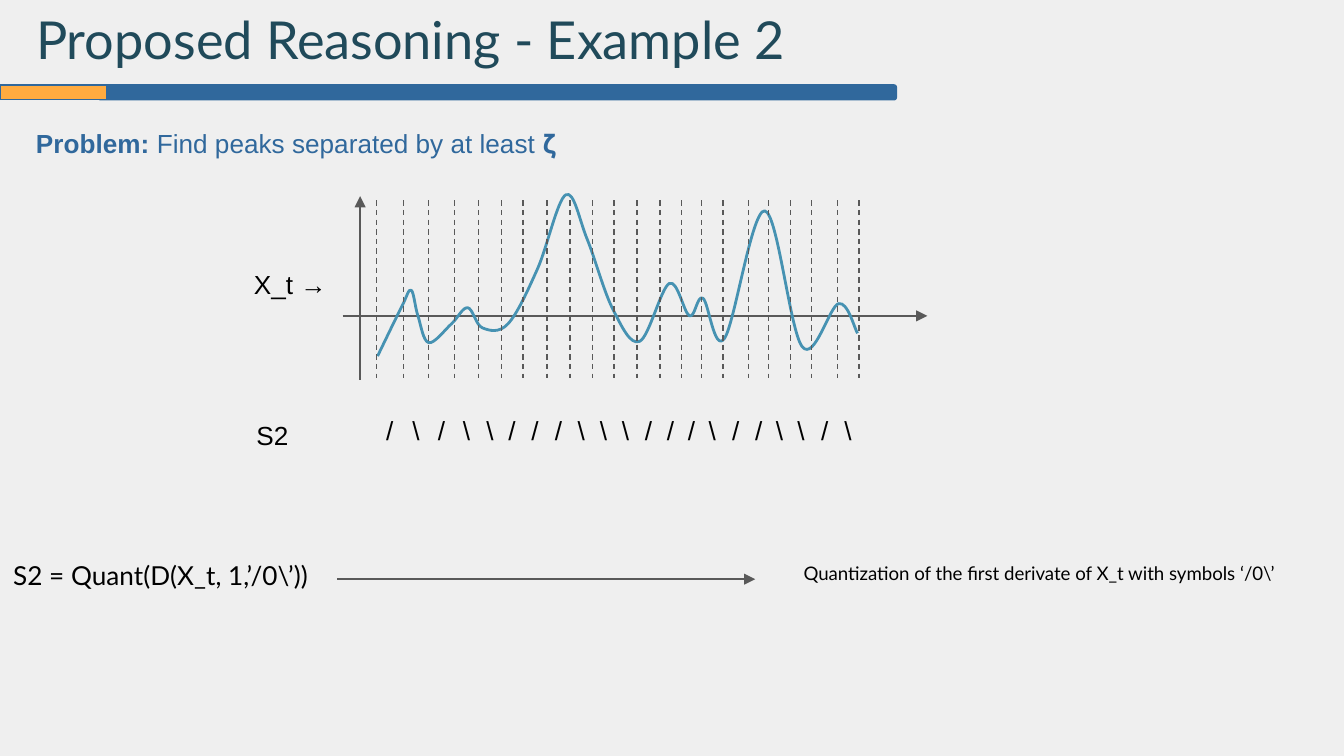
from dataclasses import dataclass
from itertools import pairwise
from lxml import etree
from pptx import Presentation
from pptx.dml.color import RGBColor
from pptx.enum.dml import MSO_LINE
from pptx.enum.shapes import MSO_CONNECTOR, MSO_SHAPE
from pptx.enum.text import MSO_ANCHOR, MSO_AUTO_SIZE, PP_ALIGN
from pptx.oxml.ns import qn
from pptx.util import Pt

DASH = MSO_LINE.DASH
LINE = MSO_CONNECTOR.STRAIGHT
ROUND = MSO_SHAPE.ROUNDED_RECTANGLE
TOP, MID = MSO_ANCHOR.TOP, MSO_ANCHOR.MIDDLE
LEFT, MIDDLE = PP_ALIGN.LEFT, PP_ALIGN.CENTER
FIXED = MSO_AUTO_SIZE.NONE


@dataclass(frozen=True)
class Theme:
    back: str = "EFEFEF"
    title: str = "204A5A"
    blue: str = "30689C"
    gold: str = "FFAB40"
    gray: str = "595959"
    wave: str = "4692B2"
    ink: str = "000000"
    head: str = "Lato"
    body: str = "Arial"
    big: int = 28
    base: int = 14
    small: int = 10


THEME = Theme()
KNOTS = [
    (22.3, 86.8), (35.3, 60.2), (40.3, 51.5), (43.9, 65.2), (49.7, 79.6),
    (61.9, 69.5), (70.6, 60.9), (78.5, 71.7), (92.2, 69.5), (108, 40),
    (123.1, 0.4), (134.6, 24.2), (148.3, 61.6), (162.7, 78.9),
    (178.6, 47.9), (189.4, 65.2), (196.6, 55.8), (208.1, 77.4),
    (229.7, 9), (249.8, 81.8), (269.3, 58.7), (279.4, 74.6),
]
TICKS = [
    21.6, 36, 49.7, 63.4, 76.3, 88.6, 100.1, 113, 125.3, 137.5, 149,
    161.3, 173.5, 185, 195.8, 207.4, 221, 231.8, 243.4, 254.9, 268.6, 280.1,
]
SIGNS = r"/\/\\///\\\///\//\\/" + "\\"


def color(code):
    return RGBColor.from_string(code)


def write(shape, runs, size, font, ink, align=LEFT, anchor=TOP):
    frame = shape.text_frame
    frame.word_wrap = True
    frame.auto_size = FIXED
    frame.vertical_anchor = anchor
    frame.margin_left = frame.margin_right = Pt(7.2)
    frame.margin_top = frame.margin_bottom = Pt(7.2)
    para = frame.paragraphs[0]
    para.alignment = align
    for text, bold in runs:
        run = para.add_run()
        run.text = text
        run.font.name = font
        run.font.size = Pt(size)
        run.font.bold = bold
        run.font.color.rgb = color(ink)


def label(slide, box, runs, size=THEME.base, font=THEME.body,
          ink=THEME.ink, align=LEFT, anchor=TOP):
    shape = slide.shapes.add_textbox(*map(Pt, box))
    write(shape, runs, size, font, ink, align, anchor)


def stroke(slide, x1, y1, x2, y2, end=None, dash=None):
    wire = slide.shapes.add_connector(LINE, Pt(x1), Pt(y1), Pt(x2), Pt(y2))
    wire.line.color.rgb = color(THEME.gray)
    wire.line.width = Pt(0.75)
    if dash:
        wire.line.dash_style = dash
    if end:
        tip = etree.SubElement(wire.line._get_or_add_ln(), qn("a:" + end))
        tip.set("type", "triangle")
    etree.SubElement(wire._element.spPr, qn("a:effectLst"))


def bend(shape):
    ends = list(shape._element.iter(qn("a:pt")))
    spots = [(int(end.get("x")), int(end.get("y"))) for end in ends]
    pad = [spots[0], *spots, spots[-1]]
    for i, end in enumerate(ends[1:]):
        a, b, c, d = pad[i:i + 4]
        curve = end.getparent()
        curve.tag = qn("a:cubicBezTo")
        first = [q + (s - p) / 6 for p, q, s in zip(a, b, c)]
        last = [r - (s - q) / 6 for q, r, s in zip(b, c, d)]
        for n, (x, y) in enumerate((first, last)):
            knob = etree.Element(qn("a:pt"), x=str(round(x)), y=str(round(y)))
            curve.insert(n, knob)


def header(slide, box):
    x, y, w, h = box
    title = slide.shapes.title
    title.left, title.top = Pt(x + 12.2), Pt(y)
    title.width, title.height = Pt(434), Pt(h - 12)
    write(title, [("Proposed Reasoning - Example 2", False)],
          THEME.big, THEME.head, THEME.title, anchor=MID)
    bars = [(52.6, w - 52.6, THEME.blue, 0.17), (0, 56.9, THEME.gold, 0)]
    for left, wide, fill, curve in bars:
        bar = slide.shapes.add_shape(
            ROUND, Pt(x + left), Pt(y + h - 8), Pt(wide), Pt(8))
        bar.adjustments[0] = curve
        bar.shadow.inherit = False
        bar.fill.solid()
        bar.fill.fore_color.rgb = color(fill)
        bar.line.color.rgb = color(THEME.blue)
        bar.line.width = Pt(0.75)


def plot(slide, box):
    x, y, w, h = box
    axis = y + 65.2
    stroke(slide, x + 3.6, axis, x + w, axis, "tailEnd")
    stroke(slide, x + 12.9, y + 1.1, x + 12.9, y + h, "headEnd")
    spots = [(Pt(x + a), Pt(y + b)) for a, b in KNOTS]
    pen = slide.shapes.build_freeform(*spots[0])
    pen.add_line_segments(spots[1:], close=False)
    wave = pen.convert_to_shape()
    bend(wave)
    wave.shadow.inherit = False
    wave.fill.background()
    wave.line.color.rgb = color(THEME.wave)
    wave.line.width = Pt(1.5)
    for tick in TICKS:
        stroke(slide, x + tick, y + 3.3, x + tick, y + 98.3, dash=DASH)
    label(slide, (x - 51, y + 32.8, 304, 35), [("X_t →", False)])


def signs(slide, box):
    x, y, w, h = box
    for sign, (a, b) in zip(SIGNS, pairwise(TICKS)):
        spot = (x + (a + b) / 2 - w / 2, y, w, h)
        label(slide, spot, [(sign, False)], align=MIDDLE, anchor=MID)
    label(slide, (x - 49.7, y - 6.5, 32.4, 26.6), [("S2", False)])


def rule(slide, box):
    x, y, w, h = box
    label(slide, (x, y, 304, h), [("S2 = Quant(D(X_t, 1,’/0\\’))", False)],
          font=THEME.head)
    stroke(slide, x + 180.7, y + 18, x + 404.6, y + 18, "tailEnd")
    label(slide, (x + 423.4, y + 1.4, w - 423.4, h - 3),
          [("Quantization of the first derivate of X_t with symbols ‘/0\\’",
            False)], THEME.small, THEME.head)


def main():
    deck = Presentation()
    deck.slide_width, deck.slide_height = Pt(720), Pt(405)
    slide = deck.slides.add_slide(deck.slide_layouts[5])
    slide.background.fill.solid()
    slide.background.fill.fore_color.rgb = color(THEME.back)
    header(slide, (0, 0, 480.2, 53.5))
    label(slide, (12.2, 61.2, 323, 26.6),
          [("Problem: ", True), ("Find peaks separated by at least 𝛇", False)],
          ink=THEME.blue)
    plot(slide, (180, 104, 316.8, 99.8))
    signs(slide, (180, 223.9, 22.3, 13))
    rule(slide, (0, 292.3, 727.2, 35.3))
    deck.save("out.pptx")


if __name__ == "__main__":
    main()
